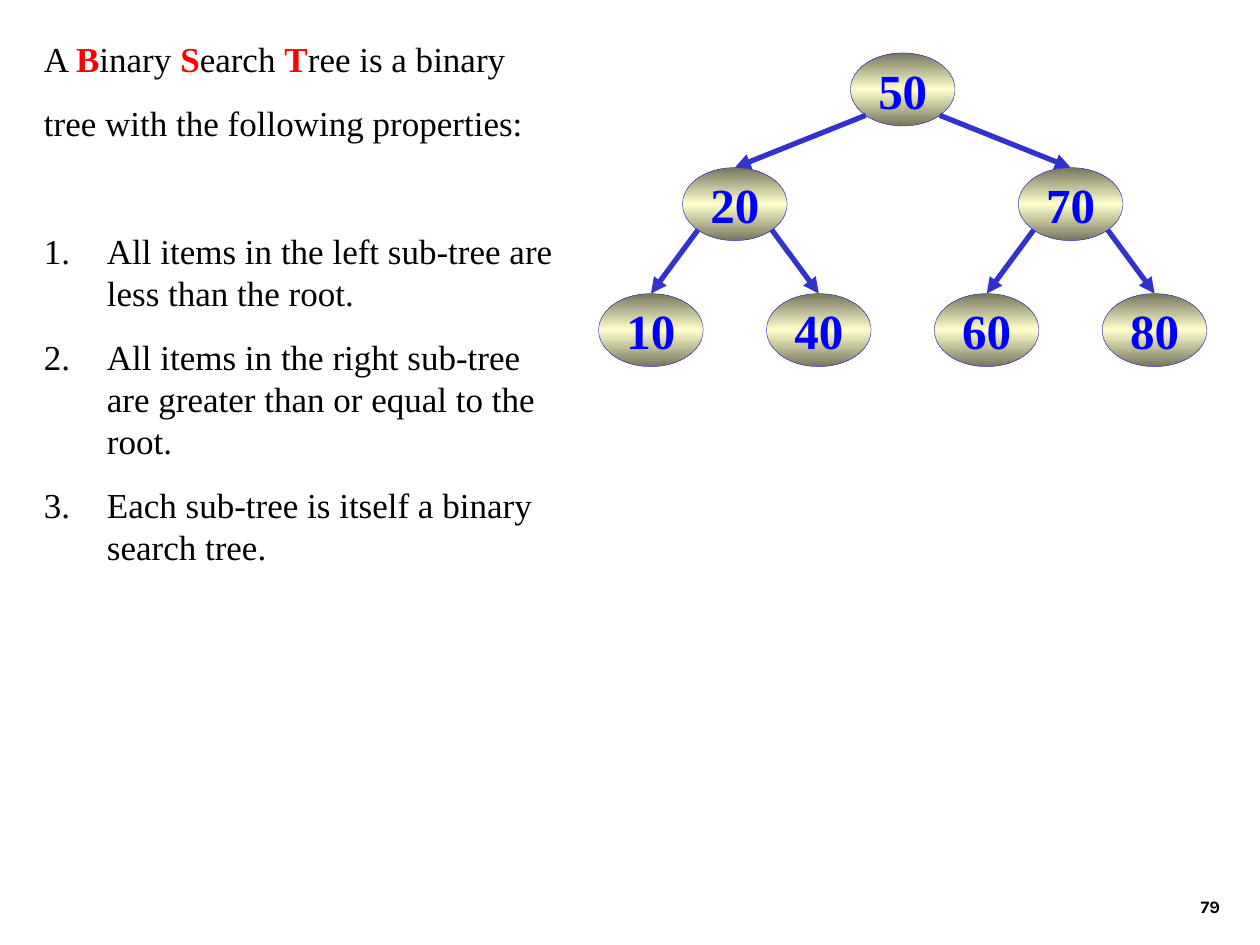
from copy import deepcopy
from dataclasses import dataclass

from lxml import etree
from pptx import Presentation
from pptx.dml.color import RGBColor
from pptx.enum import shapes, text
from pptx.oxml import ns
from pptx.util import Inches, Pt


@dataclass(frozen=True)
class Theme:
    ink: str = "000000"
    accent: str = "FF0000"
    value: str = "0000FF"
    edge: str = "3333CC"
    rim: str = "76765E"
    glow: str = "FFFFCC"
    serif: str = "Times New Roman"
    sans: str = "Karla"
    body: float = 20
    key: float = 28
    small: float = 10
    gap: float = 12.5
    section: float = 49


THEME = Theme()
INTRO = [
    [("A ", False), ("B", True), ("inary ", False), ("S", True),
     ("earch ", False), ("T", True), ("ree is a binary", False)],
    [("tree with the following properties:", False)],
]
RULES = [
    "All items in the left sub-tree are less than the root.",
    "All items in the right sub-tree are greater than or equal to the root.",
    "Each sub-tree is itself a binary search tree.",
]
KEYS = [50, 20, 70, 10, 40, 60, 80]  # level by level
TOPS = [0.42, 1.33, 2.33]
LEFT, SPAN = 4.5, 5.33
WIDE, HIGH = 0.83, 0.58


def add_run(para, words, size, color, face=THEME.serif, bold=False):
    run = para.add_run()
    run.text = words
    font = run.font
    font.name, font.size, font.bold = face, Pt(size), bold
    font.color.rgb = RGBColor.from_string(color)


def add_box(slide, left, top, width, height):
    box = slide.shapes.add_textbox(
        Inches(left), Inches(top), Inches(width), Inches(height))
    box.text_frame.word_wrap = True
    return box.text_frame


def number(para):
    """Give the paragraph a hanging automatic number."""
    props = para._p.get_or_add_pPr()
    props.set("marL", str(Inches(0.5)))
    props.set("indent", str(-Inches(0.5)))
    tint = etree.SubElement(props, ns.qn("a:buClr"))
    etree.SubElement(tint, ns.qn("a:srgbClr"), val=THEME.ink)
    etree.SubElement(props, ns.qn("a:buAutoNum"), type="arabicPeriod")


def add_prose(slide):
    frame = add_box(slide, 0.25, 0.25, 4.25, 4.81)
    for i, parts in enumerate(INTRO):
        para = frame.add_paragraph() if i else frame.paragraphs[0]
        para.space_before = Pt(THEME.gap if i else 0)
        for words, strong in parts:
            color = THEME.accent if strong else THEME.ink
            add_run(para, words, THEME.body, color, bold=strong)
    for i, rule in enumerate(RULES):
        para = frame.add_paragraph()
        number(para)
        para.space_before = Pt(THEME.gap if i else THEME.section)
        add_run(para, rule, THEME.body, THEME.ink)


def shade(shape):
    """Fill with a vertical gradient, dark at both ends."""
    shape.fill.gradient()
    shape.fill.gradient_angle = 90
    stops = next(shape._element.spPr.iter(ns.qn("a:gsLst")))
    stops.append(deepcopy(stops[0]))
    colors = (THEME.rim, THEME.glow, THEME.rim)
    for i, (stop, color) in enumerate(zip(shape.fill.gradient_stops, colors)):
        stop.position = i / 2
        stop.color.rgb = RGBColor.from_string(color)


def add_node(group, key, mid, top):
    node = group.shapes.add_shape(
        shapes.MSO_SHAPE.OVAL, Inches(mid - WIDE / 2), Inches(top),
        Inches(WIDE), Inches(HIGH))
    node.shadow.inherit = False
    shade(node)
    node.line.color.rgb = RGBColor.from_string(THEME.edge)
    node.line.width = Pt(0.25)
    frame = node.text_frame
    frame.word_wrap = False
    frame.vertical_anchor = text.MSO_ANCHOR.MIDDLE
    para = frame.paragraphs[0]
    para.alignment = text.PP_ALIGN.CENTER
    add_run(para, str(key), THEME.key, THEME.value, bold=True)
    return node


def add_edge(group, parent, child, side):
    """Draw an arrow from the parent's lower left (-1) or right (1) rim."""
    reach = 0.5 ** 0.5 / 2
    x = int(parent.left + parent.width * (0.5 + side * reach))
    y = int(parent.top + parent.height * (0.5 + reach))
    edge = group.shapes.add_connector(
        shapes.MSO_CONNECTOR.STRAIGHT, x, y,
        child.left + child.width // 2, child.top)
    edge.end_connect(child, 0)
    edge.line.color.rgb = RGBColor.from_string(THEME.edge)
    edge.line.width = Pt(3)
    etree.SubElement(edge.line._get_or_add_ln(), ns.qn("a:tailEnd"),
                     type="triangle")
    etree.SubElement(edge._element.spPr, ns.qn("a:effectLst"))


def add_tree(slide):
    group = slide.shapes.add_group_shape()
    nodes = []
    for i, key in enumerate(KEYS):
        depth = (i + 1).bit_length() - 1
        slots = 2 ** depth
        mid = LEFT + SPAN * (i + 1 - slots + 0.5) / slots
        nodes.append(add_node(group, key, mid, TOPS[depth]))
    for i in range(1, len(nodes)):
        add_edge(group, nodes[(i - 1) // 2], nodes[i], -1 if i % 2 else 1)


def add_folio(slide):
    frame = add_box(slide, 7.7, 6.83, 2.08, 0.5)
    frame.vertical_anchor = text.MSO_ANCHOR.BOTTOM
    para = frame.paragraphs[0]
    para.alignment = text.PP_ALIGN.RIGHT
    add_run(para, "79", THEME.small, THEME.ink, THEME.sans, bold=True)


def main():
    deck = Presentation()
    deck.slide_width, deck.slide_height = Inches(10), Inches(7.5)
    slide = deck.slides.add_slide(deck.slide_layouts[6])
    add_folio(slide)
    add_prose(slide)
    add_tree(slide)
    deck.save("out.pptx")


if __name__ == "__main__":
    main()
